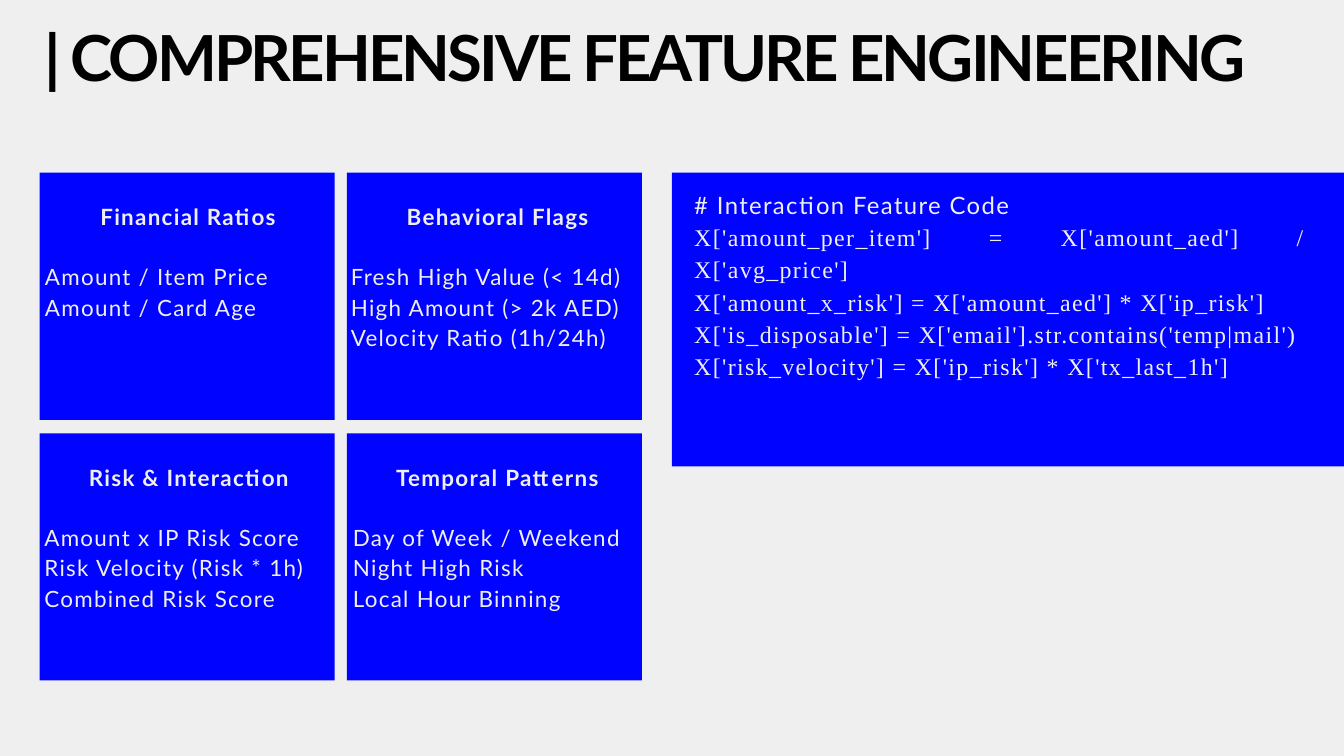
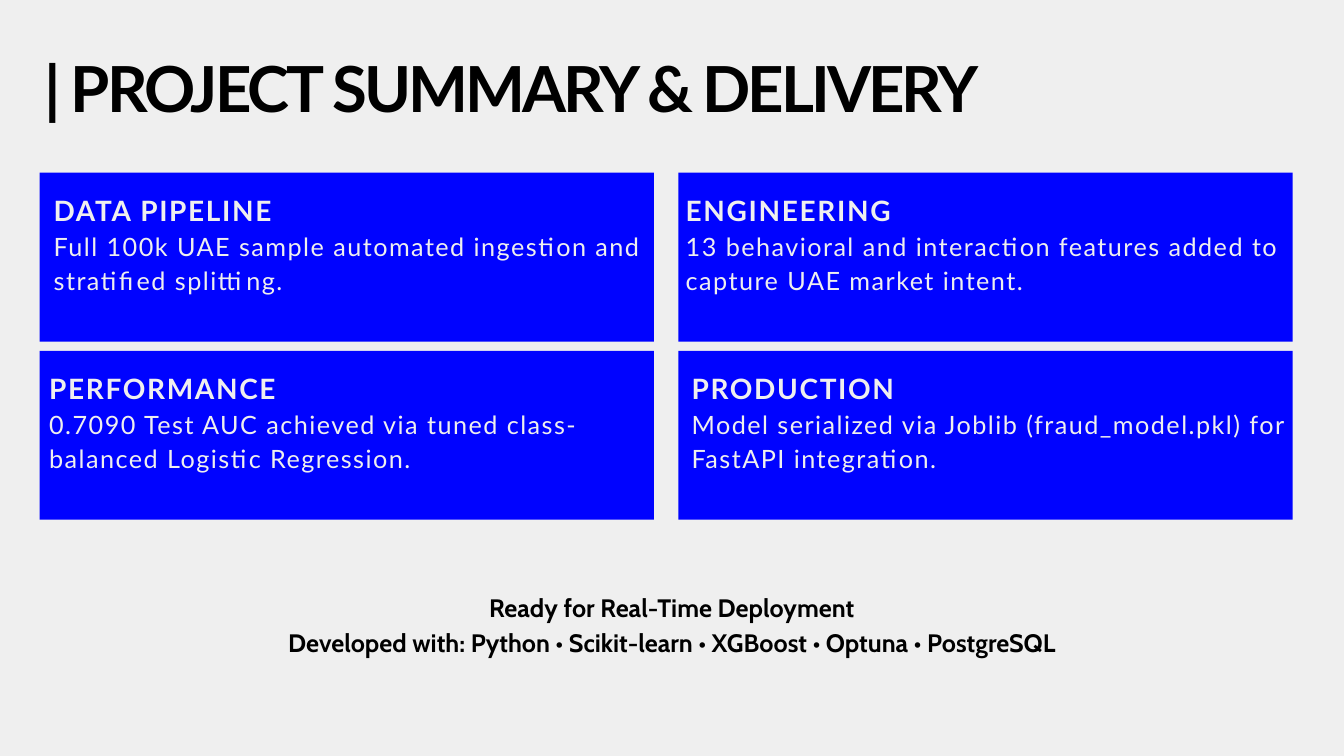
from dataclasses import dataclass
from typing import Any

from pptx import Presentation
from pptx.dml.color import RGBColor
from pptx.enum.shapes import MSO_SHAPE
from pptx.enum.text import MSO_AUTO_SIZE, PP_ALIGN
from pptx.slide import Slide
from pptx.util import Cm, Pt

COLORS = {"page": "EFEFEF", "panel": "0003FF", "ink": "000000", "light": "EFEFEF"}


@dataclass(frozen=True)
class Style:
    font: dict[str, Any]
    paragraph: dict[str, Any]
    color: str = "light"
    tracking: int = 0


@dataclass(frozen=True)
class Area:
    left: float
    top: float
    width: float
    height: float


@dataclass(frozen=True)
class Line:
    style: str
    text: str


@dataclass(frozen=True)
class Grid:
    first: Area
    column_step: float
    row_step: float
    text_drop: float


@dataclass(frozen=True)
class Card:
    text_inset: float
    text_width: float
    text_height: float
    lines: list[Line]


def make_style(name: str, size: float, bold: bool, leading: float, color: str = "light",
               tracking: int = 0, **paragraph: Any) -> Style:
    return Style({"name": name, "size": Pt(size), "bold": bold},
                 {"line_spacing": Pt(leading), **paragraph}, color, tracking)


CENTER = {"alignment": PP_ALIGN.CENTER}
JUSTIFY = {"alignment": PP_ALIGN.JUSTIFY}
STYLES = {
    "title": make_style("Lato", 68, True, 66, "ink", -320),
    "feature_heading": make_style("Lato", 24, True, 32.4, tracking=140, **CENTER),
    "first_feature": make_style("Lato", 24, False, 32.4, tracking=140, space_before=Pt(32.4)),
    "feature": make_style("Lato", 24, False, 32.4, tracking=140),
    "code_heading": make_style("Lato", 25.6, False, 34.6, tracking=150, **JUSTIFY),
    "code": make_style("Times New Roman", 25.6, False, 34.6, tracking=150, **JUSTIFY),
    "summary_heading": make_style("Lato", 30, True, 40.5, tracking=180),
    "summary": make_style("Lato", 27, False, 36.5, tracking=160),
    "closing": make_style("Cabin", 27, True, 37.8, "ink", **CENTER),
}


def feature_card(inset: float, width: float, height: float, heading: str,
                 first: str, *others: str) -> Card:
    lines = [Line("feature_heading", heading), Line("first_feature", first)]
    return Card(inset, width, height, lines + [Line("feature", text) for text in others])


def summary_card(inset: float, width: float, height: float, heading: str, text: str) -> Card:
    return Card(inset, width, height, [Line("summary_heading", heading), Line("summary", text)])


FEATURE_GRID = Grid(Area(1.5, 6.53, 11.15, 9.34), 11.61, 9.85, 1.02)
FEATURE_CARDS = [
    feature_card(0.2, 10.82, 5.66, "Financial Ratios",
                 "Amount / Item Price", "Amount / Card Age"),
    feature_card(0.15, 11.1, 5.66, "Behavioral Flags", "Fresh High Value (< 14d)",
                 "High Amount (> 2k AED)", "Velocity Ratio (1h/24h)"),
    feature_card(0.18, 10.92, 6.81, "Risk & Interaction", "Amount x IP Risk Score",
                 "Risk Velocity (Risk * 1h)", "Combined Risk Score"),
    feature_card(0.23, 10.92, 6.81, "Temporal Patterns", "Day of Week / Weekend",
                 "Night High Risk", "Local Hour Binning"),
]
CODE_LINES = [
    Line("code_heading", "# Interaction Feature Code"),
    Line("code", "X['amount_per_item'] = X['amount_aed'] / X['avg_price']"),
    Line("code", "X['amount_x_risk'] = X['amount_aed'] * X['ip_risk']"),
    Line("code", "X['is_disposable'] = X['email'].str.contains('temp|mail')"),
    Line("code", "X['risk_velocity'] = X['ip_risk'] * X['tx_last_1h']"),
]
SUMMARY_GRID = Grid(Area(1.5, 6.53, 23.22, 6.38), 24.14, 6.73, 0.64)
SUMMARY_CARDS = [
    summary_card(0.53, 22.53, 3.91, "DATA PIPELINE",
                 "Full 100k UAE sample automated ingestion and stratified splitting."),
    summary_card(0.28, 23.09, 5.18, "ENGINEERING",
                 "13 behavioral and interaction features added to capture UAE market intent."),
    summary_card(0.36, 22.73, 5.18, "PERFORMANCE",
                 "0.7090 Test AUC achieved via tuned class-balanced Logistic Regression."),
    summary_card(0.5, 22.73, 5.18, "PRODUCTION",
                 "Model serialized via Joblib (fraud_model.pkl) for FastAPI integration."),
]
CLOSING_LINES = [
    Line("closing", "Ready for Real-Time Deployment"),
    Line("closing", "Developed with: Python • Scikit-learn • XGBoost • Optuna • PostgreSQL"),
]


def lengths(area: Area) -> tuple[Cm, Cm, Cm, Cm]:
    return Cm(area.left), Cm(area.top), Cm(area.width), Cm(area.height)


def set_values(target: Any, values: dict[str, Any]) -> None:
    for name, value in values.items():
        setattr(target, name, value)


def add_panel(page: Slide, area: Area) -> None:
    panel = page.shapes.add_shape(MSO_SHAPE.RECTANGLE, *lengths(area))
    panel.shadow.inherit = False
    panel.fill.solid()
    panel.fill.fore_color.rgb = RGBColor.from_string(COLORS["panel"])
    panel.line.fill.background()


def add_text(page: Slide, area: Area, lines: list[Line]) -> None:
    frame = page.shapes.add_textbox(*lengths(area)).text_frame
    set_values(frame, {"margin_left": 0, "margin_top": 0, "margin_right": 0, "margin_bottom": 0,
                       "word_wrap": True, "auto_size": MSO_AUTO_SIZE.SHAPE_TO_FIT_TEXT})
    for index, line in enumerate(lines):
        style = STYLES[line.style]
        para = frame.add_paragraph() if index else frame.paragraphs[0]
        set_values(para, style.paragraph)
        span = para.add_run()
        span.text = line.text
        set_values(span.font, style.font)
        span.font.color.rgb = RGBColor.from_string(COLORS[style.color])
        if style.tracking:
            span._r.get_or_add_rPr().set("spc", str(style.tracking))


def add_cards(page: Slide, grid: Grid, cards: list[Card]) -> None:
    for index, card in enumerate(cards):
        row, column = divmod(index, 2)
        left = grid.first.left + column * grid.column_step
        top = grid.first.top + row * grid.row_step
        add_panel(page, Area(left, top, grid.first.width, grid.first.height))
        add_text(page, Area(left + card.text_inset, top + grid.text_drop,
                            card.text_width, card.text_height), card.lines)


def add_page(deck: Any, title: str, title_top: float, title_height: float) -> Slide:
    page = deck.slides.add_slide(deck.slide_layouts[6])
    page.background.fill.solid()
    page.background.fill.fore_color.rgb = RGBColor.from_string(COLORS["page"])
    add_text(page, Area(1.7, title_top, 47.32, title_height), [Line("title", title)])
    return page


def main() -> None:
    deck = Presentation()
    deck.slide_width = Cm(50.8)
    deck.slide_height = deck.slide_width * 9 // 16

    features = add_page(deck, "| COMPREHENSIVE FEATURE ENGINEERING", 1.24, 4.72)
    add_cards(features, FEATURE_GRID, FEATURE_CARDS)
    add_panel(features, Area(25.4, 6.53, 25.68, 11.1))
    add_text(features, Area(26.24, 7.06, 23.11, 6.05), CODE_LINES)

    summary = add_page(deck, "| PROJECT SUMMARY & DELIVERY", 2.41, 2.44)
    add_cards(summary, SUMMARY_GRID, SUMMARY_CARDS)
    add_text(summary, Area(9.07, 22.2, 32.64, 3.94), CLOSING_LINES)

    deck.save("out.pptx")


if __name__ == "__main__":
    main()
